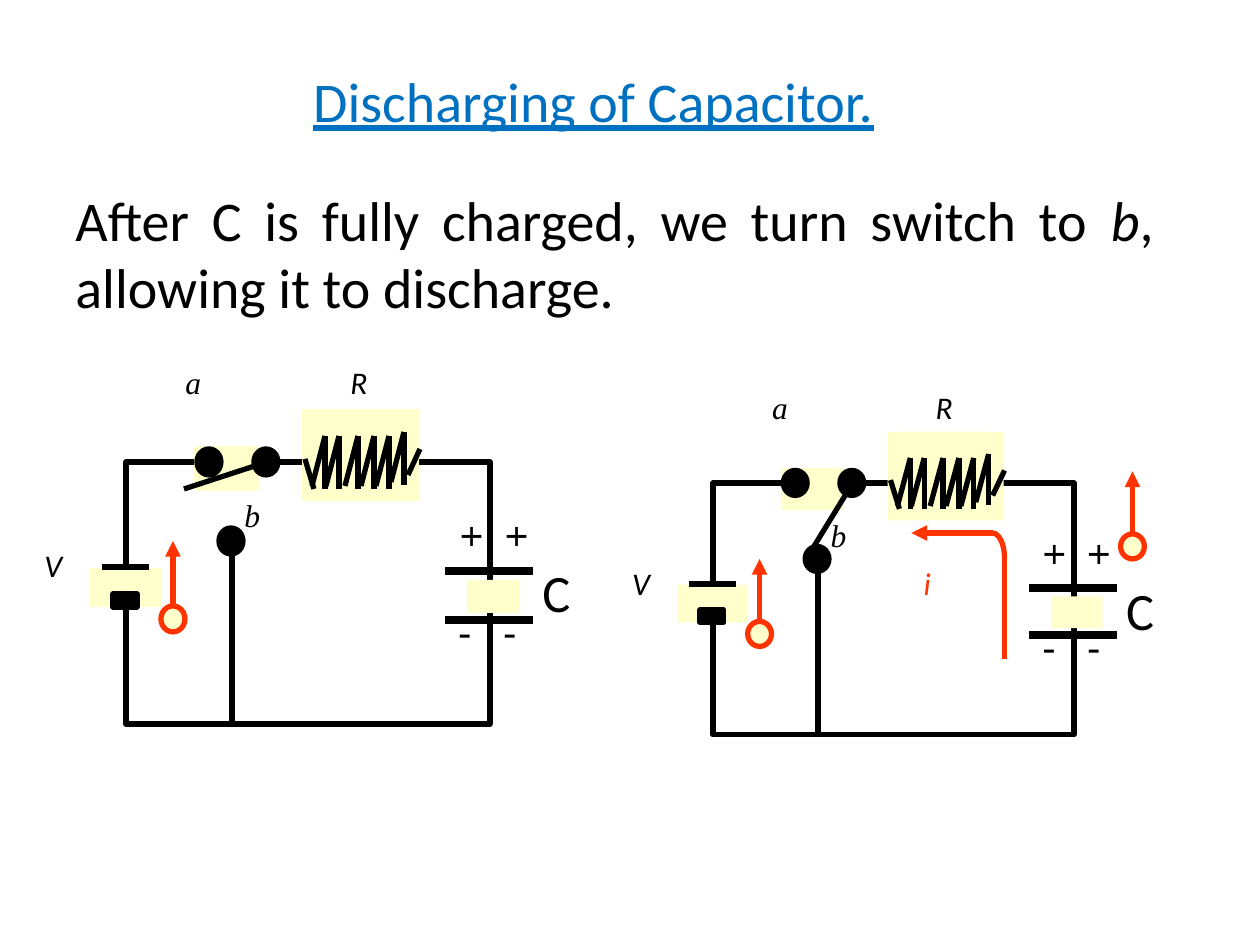
from dataclasses import dataclass
from lxml import etree
from pptx import Presentation
from pptx.dml.color import RGBColor as RGB
from pptx.enum.shapes import MSO_CONNECTOR as CONN, MSO_SHAPE as SHAPE
from pptx.enum.text import MSO_ANCHOR as ANCHOR, PP_ALIGN as ALIGN
from pptx.oxml.ns import qn
from pptx.util import Emu, Pt

PX = 914400 // 126
LOOP_W, LOOP_H = 364, 262


@dataclass(frozen=True)
class Theme:
    black: str = "000000"
    title: str = "0070C0"
    pale: str = "FFFFCC"
    red: str = "FF3300"
    sans: str = "Calibri"
    serif: str = "Times New Roman"
    heading: int = 32
    capacitor: int = 30
    sign: int = 24
    label: int = 18
    wire: float = 3
    plate: float = 4.5


T = Theme()


def emu(*pixels):
    return [Emu(round(v * PX)) for v in pixels]


def add_text(s, box, runs, size, color=T.black, font=T.sans, align=ALIGN.LEFT):
    sp = s.shapes.add_textbox(*emu(*box))
    tf = sp.text_frame
    tf.word_wrap = True
    p = tf.paragraphs[0]
    p.alignment = align
    for text, italic in runs:
        r = p.add_run()
        r.text = text
        r.font.size, r.font.name, r.font.italic = Pt(size), font, italic
        r.font.color.rgb = RGB.from_string(color)
    return sp


class Circuit:
    def __init__(self, s, box):
        self.s = s
        self.x, self.y, w, h = box
        self.kx, self.ky = w / LOOP_W, h / LOOP_H

    def place(self, x, y):
        return self.x + x * self.kx, self.y + y * self.ky

    def frame(self, x, y, w, h):
        return (*self.place(x, y), w * self.kx, h * self.ky)

    def shape(self, kind, box, fill=None, line=None):
        sp = self.s.shapes.add_shape(kind, *emu(*self.frame(*box)))
        sp.shadow.inherit = False
        if fill:
            sp.fill.solid()
            sp.fill.fore_color.rgb = RGB.from_string(fill)
        else:
            sp.fill.background()
        if line:
            sp.line.color.rgb = RGB.from_string(line)
            sp.line.width = Pt(T.wire)
        else:
            sp.line.fill.background()

    def line(self, x1, y1, x2, y2, color=T.black, width=T.wire, arrow=False):
        ends = emu(*self.place(x1, y1), *self.place(x2, y2))
        c = self.s.shapes.add_connector(CONN.STRAIGHT, *ends)
        c.line.color.rgb = RGB.from_string(color)
        c.line.width = Pt(width)
        if arrow:
            ln = c.line._get_or_add_ln()
            etree.SubElement(ln, qn("a:tailEnd"), type="triangle")
        etree.SubElement(c._element.spPr, qn("a:effectLst"))

    def text(self, box, text, size=T.label, italic=True, color=T.black, font=T.sans):
        return add_text(self.s, self.frame(*box), [(text, italic)], size, color, font)

    def resistor(self, x, y):
        self.shape(SHAPE.RECTANGLE, (x, y, 117, 92), T.pale)
        for dx, dy in ((23, 27), (37, 27), (56, 27), (72, 27), (87, 27), (102, 23)):
            tip = (x + dx, y + dy)
            self.line(*tip, x + dx, y + dy + 53)
            self.line(*tip, x + dx - 13, y + dy + 50)
        self.line(x + 3, y + 50, x + 12, y + 80)
        self.line(x + 106, y + 66, x + 118, y + 40)
        self.text((x + 36, y - 52, 94, 89), "R")

    def capacitor(self, x, y):
        self.text((x + 85, y - 17, 89, 94), "C", T.capacitor, False)
        for dy in (0, 49):
            self.line(x + 88, y + dy, x, y + dy, width=T.plate)
        self.shape(SHAPE.RECTANGLE, (x + 22, y + 9, 52, 33), T.pale)
        for dx in (0, 45):
            plus = self.text((x + dx - 6, y - 59, 65, 70), "+", T.sign, False)
            plus.rotation = 90
            self.text((x + dx + 1, y + 29, 55, 78), "-", T.sign, False)

    def battery(self, x, y):
        self.text((x - 70, y - 27, 82, 89), "V")
        self.shape(SHAPE.RECTANGLE, (x - 12, y + 1, 71, 39), T.pale)
        self.line(x, y, x + 47, y)
        self.shape(SHAPE.RECTANGLE, (x + 11, y + 27, 24, 13), T.black, T.black)

    def switch(self, x, y, arm_end):
        self.line(x + 35, y + 79, x + 35, LOOP_H)
        self.shape(SHAPE.RECTANGLE, (x, y, 59, 39), T.pale, T.pale)
        for dx, dy in ((22, 79), (57, 0), (0, 0)):
            self.shape(SHAPE.OVAL, (x + dx, y + dy, 24, 26), T.black, T.black)
        self.line(x + 70, y + 13, *arm_end)
        self.text((x - 24, y - 92, 82, 89), "a", font=T.serif)
        self.text((x + 35, y + 41, 82, 89), "b", font=T.serif)

    def charge(self, x, y):
        self.line(x + 12, y + 14, x + 12, y - 65, T.red, arrow=True)
        self.shape(SHAPE.OVAL, (x, y, 24, 26), T.pale, T.red)

    def current(self, x, y):
        self.line(x + 82, y, x, y, T.red, arrow=True)
        self.shape(SHAPE.ARC, (x + 70, y, 24, 52), line=T.red)
        self.line(x + 94, y + 26, x + 94, y + 131, T.red)
        self.text((x, y + 26, 69, 89), "i", color=T.red)


def add_circuit(s, box, arm_end, charges):
    circuit = Circuit(s, box)
    circuit.shape(SHAPE.RECTANGLE, (0, 0, LOOP_W, LOOP_H), line=T.black)
    circuit.resistor(176, -53)
    circuit.capacitor(319, 109)
    circuit.battery(-24, 105)
    circuit.switch(71, -13, arm_end)
    for spot in charges:
        circuit.charge(*spot)
    return circuit


def add_title(s, box):
    sp = add_text(s, box, [("Discharging of Capacitor.", False)], T.heading,
                  T.title, align=ALIGN.CENTER)
    sp.text_frame.vertical_anchor = ANCHOR.MIDDLE
    sp.text_frame.paragraphs[0].runs[0].font.underline = True


def add_body(s, box):
    runs = [("After C is fully charged, we turn switch to ", False), ("b", True),
            (", allowing it to discharge.", False)]
    add_text(s, box, runs, T.heading, align=ALIGN.JUSTIFY)


prs = Presentation()
prs.slide_width, prs.slide_height = emu(1260, 945)
s = prs.slides.add_slide(prs.slide_layouts[6])
add_title(s, (0, 21, 1187, 158))
add_circuit(s, (126, 462, 364, 262), (58, 27), [(35, 144)])
discharging = add_circuit(s, (713, 483, 361, 252), (94, 79), [(35, 144), (411, 53)])
discharging.current(200, 52)
add_body(s, (63, 179, 1103, 149))
prs.save("out.pptx")
